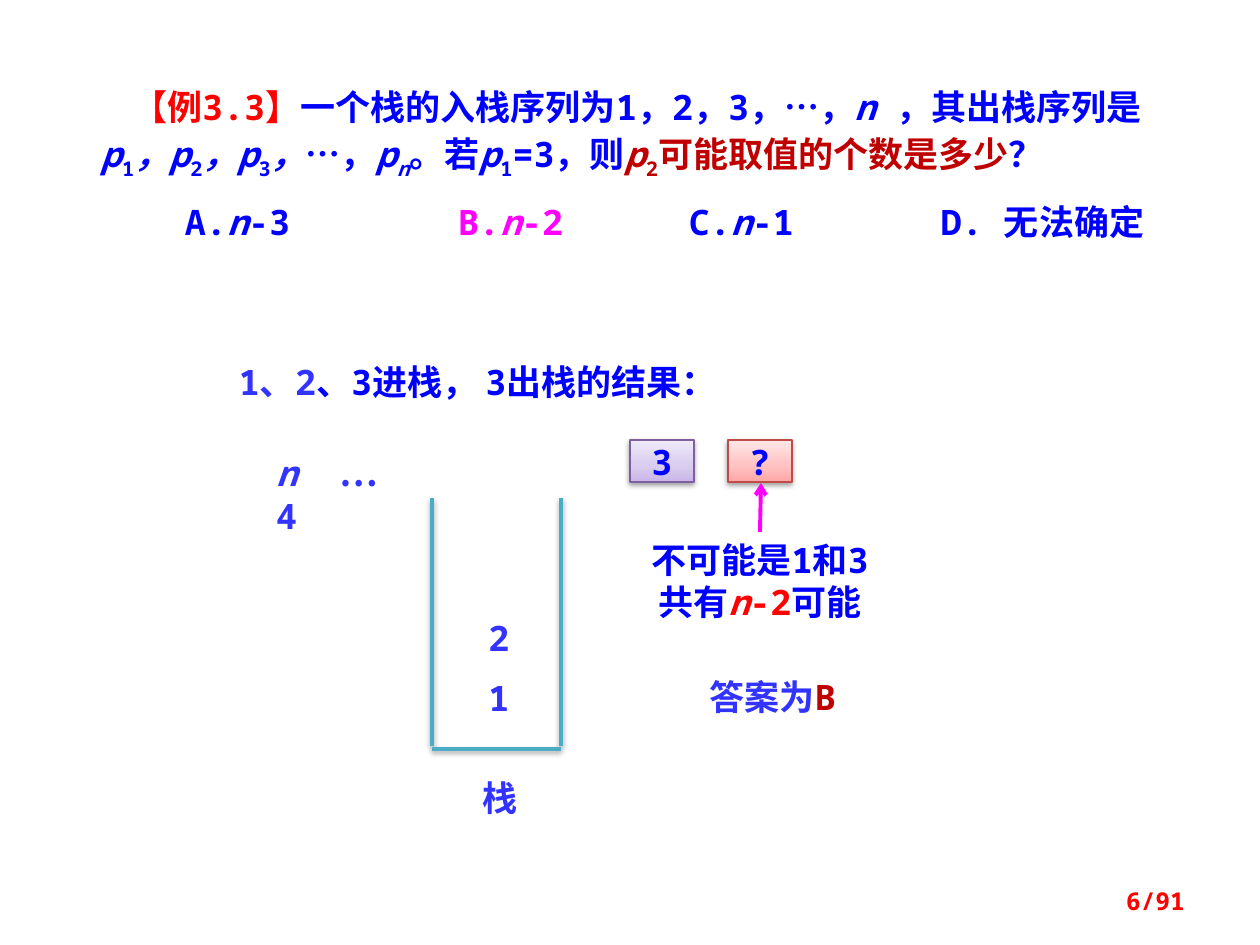
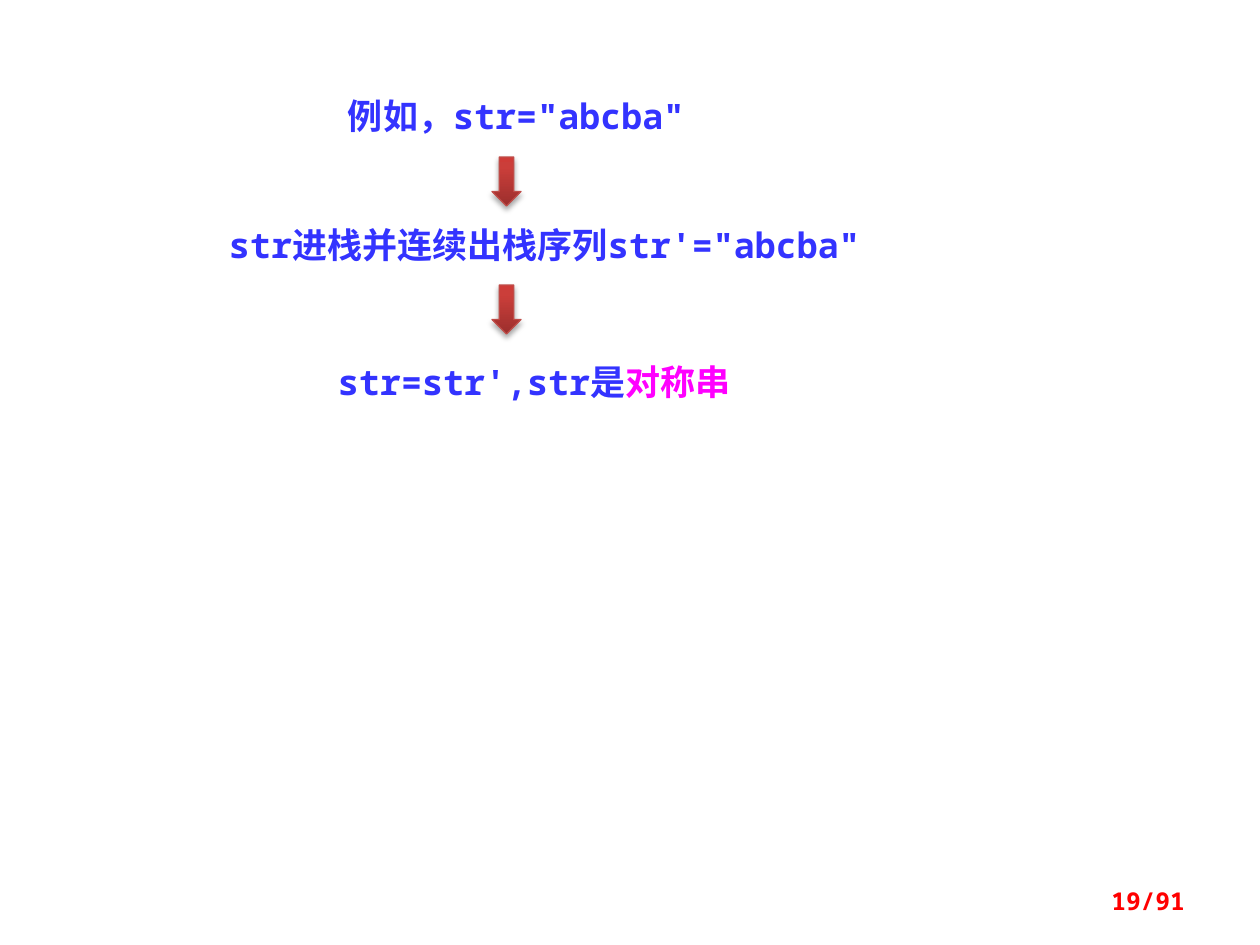
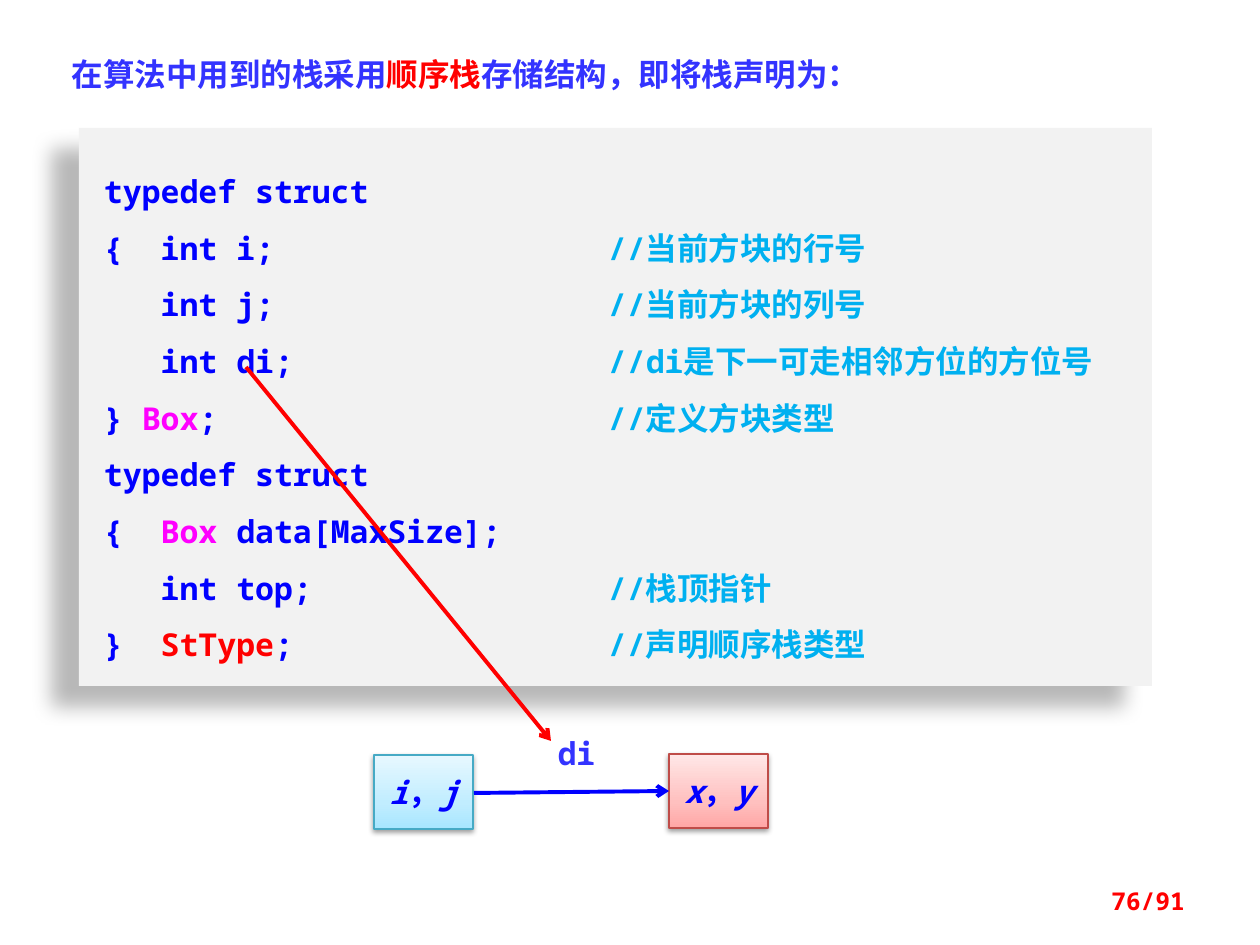
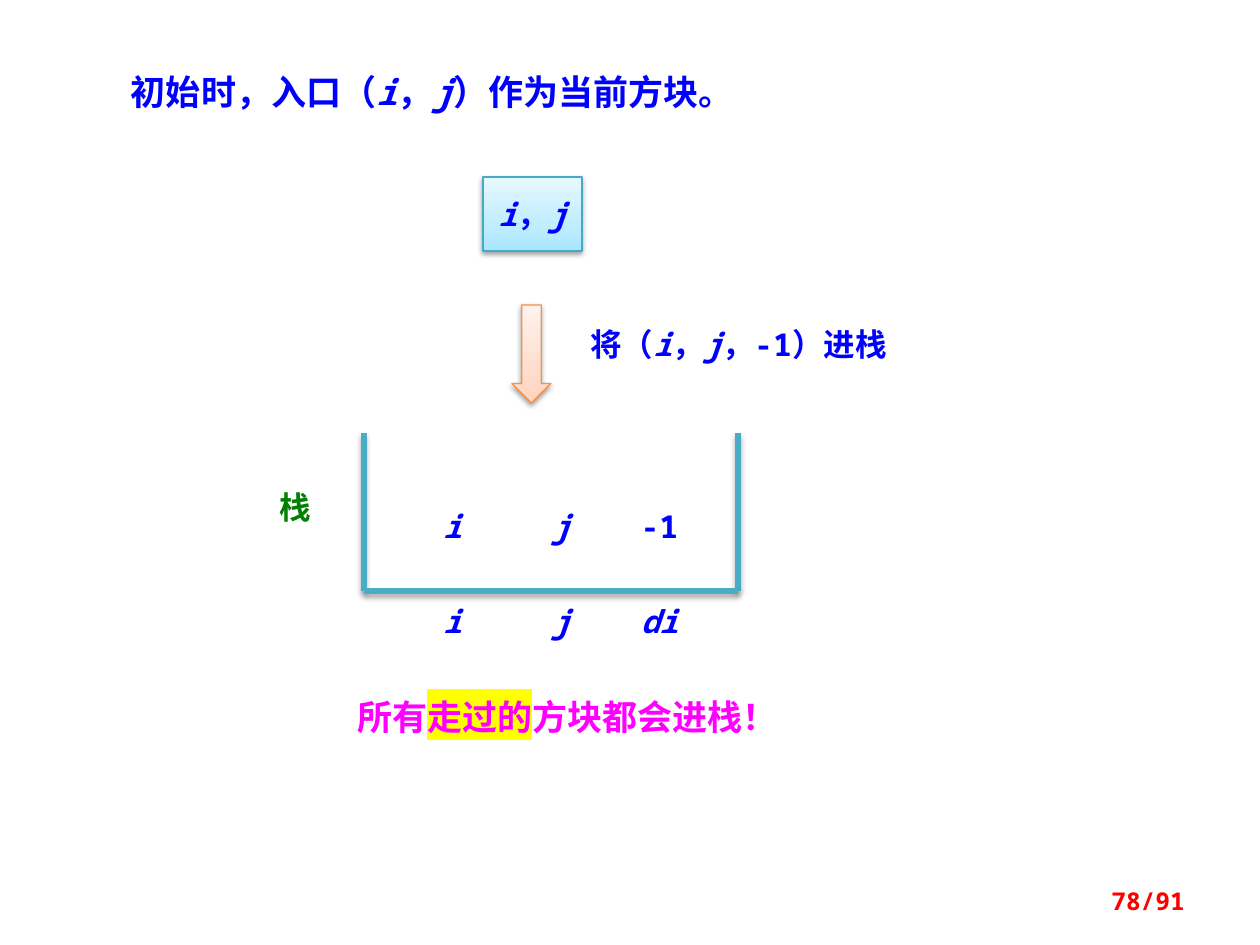
import pptx
import pptx.util
import pptx.dml.color
import pptx.enum.shapes
import pptx.enum.text
import pptx.oxml
import pptx.oxml.ns

RGB = pptx.dml.color.RGBColor
Pt = pptx.util.Pt
Kind = pptx.enum.shapes.MSO_SHAPE
Align = pptx.enum.text.PP_ALIGN
Anchor = pptx.enum.text.MSO_ANCHOR

# Shared look
BLUE = RGB(0x00, 0x00, 0xFF)
INDIGO = RGB(0x33, 0x33, 0xFF)
RED = RGB(0xFF, 0x00, 0x00)
DARK = RGB(0xC0, 0x00, 0x00)
PINK = RGB(0xFF, 0x00, 0xFF)
SKY = RGB(0x00, 0xB0, 0xF0)
GREEN = RGB(0x00, 0x80, 0x00)
TEAL = RGB(0x4B, 0xAC, 0xC6)
GREY = RGB(0xF2, 0xF2, 0xF2)
MONO, SANS, KANJI = "Noto Sans Mono", "Noto Sans CJK SC", "Noto Sans CJK JP"
TOTAL = 91
SCALE = 914400 / 126

# Outline, then gradient stops at 0, middle and 100 percent
LILAC = (RGB(0x7D, 0x60, 0xA0), (0, "C9B5E8"), (35, "D8CBEE"), (100, "F0EAF9"))
ROSE = (RGB(0xBF, 0x4C, 0x48), (0, "FFA6A5"), (35, "FFC0BF"), (100, "FFE7E7"))
AQUA = (RGB(0x46, 0xAA, 0xC5), (0, "A7E6FF"), (35, "C1EDFF"), (100, "E7F8FF"))
BRICK = (RGB(0xBF, 0x4C, 0x48), (0, "9C2F2D"), (80, "CB3E3A"), (100, "CE3B37"))
PEACH = (RGB(0xF6, 0x92, 0x40), (0, "FFD2BD"), (35, "FFDED0"), (100, "FFF2ED"))

# Opacity, blur, distance, angle
SOFT = (38, 3.1, 1.6, 90)
FIRM = (35, 3.1, 1.8, 90)
DEEP = (28, 11.8, 19.7, 141)

# Runs are (text, colour, flags): i italic, _ subscript, h highlight,
# c and k pick the Chinese and the Japanese font.
QUESTION = [
    ("【例3.3】", RED), ("一个栈的入栈序列为1，2，3，", BLUE), ("…", BLUE, "c"), ("，", BLUE),
    ("n ", BLUE, "i"), ("，其出栈序列是", BLUE), ("p", BLUE, "i"), ("1", BLUE, "_"),
    ("，p", BLUE, "i"), ("2", BLUE, "_"), ("，p", BLUE, "i"), ("3", BLUE, "_"),
    ("，", BLUE, "i"), ("…", BLUE, "c"), ("，", BLUE), ("p", BLUE, "i"), ("n", BLUE, "i_"),
    ("。若", BLUE), ("p", BLUE, "i"), ("1", BLUE, "_"), ("=3，则", BLUE),
    ("p", DARK, "i"), ("2", DARK, "_"), ("可能取值的个数是多少", DARK), ("？", BLUE)]
CHOICES = [
    ("\tA.", BLUE), ("n", BLUE, "i"), ("-3\t\t ", BLUE), ("B.", PINK), ("n", PINK, "i"),
    ("-2", PINK), ("\t\tC.", BLUE), ("n", BLUE, "i"), ("-1\t\tD. 无法确定", BLUE)]
CODE = [
    [("typedef struct", BLUE)],
    [("{  int i;\t\t\t", BLUE), ("//当前方块的行号", SKY)],
    [("   int j;\t\t\t", BLUE), ("//当前方块的列号", SKY)],
    [("   int di;\t\t\t", BLUE), ("//di是下一可走相邻方位的方位号", SKY)],
    [("} ", BLUE), ("Box", PINK), (";\t\t\t\t", BLUE), ("//定义方块类型", SKY)],
    [("typedef struct", BLUE)],
    [("{  ", BLUE), ("Box", PINK), (" data[MaxSize];", BLUE)],
    [("   int top;\t\t\t", BLUE), ("//栈顶指针", SKY)],
    [("}  ", BLUE), ("StType", RED), (";\t\t\t", BLUE), ("//声明顺序栈类型", SKY)]]
STEPS = [
    ((335, 88, 433, 55), [("例如，str=\"abcba\"", INDIGO)]),
    ((216, 217, 699, 55), [("str进栈并连续出栈序列str'=\"abcba\"", INDIGO)]),
    ((325, 354, 444, 55), [("str=str',str是", INDIGO), ("对称串", PINK)])]
DECLARE = [("在算法中用到的栈采用", INDIGO, "c"), ("顺序栈", RED, "k"),
           ("存储结构，即将栈声明为：", INDIGO, "c")]
START = [("初始时，入口（", BLUE), ("i", BLUE, "i"), ("，", BLUE), ("j", BLUE, "i"),
         ("）作为当前方块。", BLUE)]
PUSH = [("将（", BLUE), ("i", BLUE, "i"), ("，", BLUE), ("j", BLUE, "i"), ("，-1）进栈", BLUE)]
NOTE = [("所有", PINK), ("走过的", PINK, "h"), ("方块都会进栈！", PINK)]
FIELDS = [(501, [("i", "i"), ("j", "i"), ("-1", "")]),
          (596, [("i", "i"), ("j", "i"), ("di", "i")])]
FIELD_X = (403, 512, 610)


# Helpers
def px(*nums):
    return [pptx.util.Emu(round(n * SCALE)) for n in nums]


def xml(tag, body="", attrs=""):
    space = pptx.oxml.ns.nsdecls("a")
    return pptx.oxml.parse_xml(f"<a:{tag} {space} {attrs}>{body}</a:{tag}>")


def shade(item, look):
    props = item._element.spPr
    for old in props.findall(pptx.oxml.ns.qn("a:effectLst")):
        props.remove(old)
    body = ""
    if look:
        alpha, blur, dist, angle = look
        body = (f'<a:outerShdw blurRad="{round(blur * 12700)}" dist="{round(dist * 12700)}" '
                f'dir="{angle * 60000}" algn="ctr" rotWithShape="0"><a:srgbClr val="000000">'
                f'<a:alpha val="{alpha * 1000}"/></a:srgbClr></a:outerShdw>')
    props.append(xml("effectLst", body))


def add_run(para, size, text, color, flags=""):
    run = para.add_run()
    run.text = text
    font = run.font
    font.size, font.bold, font.italic = Pt(size), True, "i" in flags
    font.color.rgb = color
    font.name = KANJI if "k" in flags else SANS if "c" in flags else MONO
    props = run._r.get_or_add_rPr()
    east = KANJI if "k" in flags else SANS
    props.append(xml("ea", attrs=f'typeface="{east}"'))
    if "_" in flags:
        props.set("baseline", "-25000")
    if "h" in flags:
        fill = props.find(pptx.oxml.ns.qn("a:solidFill"))
        fill.addnext(xml("highlight", '<a:srgbClr val="FFFF00"/>'))


def write(item, paras, size, align=Align.LEFT, pad=(13, 6, 12, 6), lead=1,
          anchor=Anchor.TOP, wrap=True):
    frame = item.text_frame
    frame.word_wrap, frame.vertical_anchor = wrap, anchor
    (frame.margin_left, frame.margin_top,
     frame.margin_right, frame.margin_bottom) = px(*pad)
    for n, runs in enumerate(paras):
        para = frame.paragraphs[0] if n == 0 else frame.add_paragraph()
        para.alignment = align
        para.line_spacing = Pt(round(size * 1.2 * lead, 2))
        for run in runs:
            add_run(para, size, *run)
    return frame.paragraphs


def label(slide, box, paras, size=20, align=Align.LEFT, **more):
    return write(slide.shapes.add_textbox(*px(*box)), paras, size, align, **more)


def bare(slide, box, paras, align=Align.CENTER):
    return label(slide, box, paras, 20, align, pad=(0, 0, 0, 0))


def set_step(para, name, size):
    para._p.get_or_add_pPr().set(name, str(int(px(size)[0])))


def block(slide, kind, box, look, shadow=SOFT):
    item = slide.shapes.add_shape(kind, *px(*box))
    edge, *stops = look
    item.line.color.rgb, item.line.width = edge, Pt(0.75)
    body = "".join(f'<a:gs pos="{at * 1000}"><a:srgbClr val="{tint}"/></a:gs>'
                   for at, tint in stops)
    geom = item._element.spPr.find(pptx.oxml.ns.qn("a:prstGeom"))
    geom.addnext(xml("gradFill", f'<a:gsLst>{body}</a:gsLst><a:lin ang="16200000" scaled="0"/>',
                     'rotWithShape="1"'))
    shade(item, shadow)
    return item


def pair(slide, left, top, names, look):
    one, two = names
    runs = [(one, BLUE, "i"), ("，", BLUE), (two, BLUE, "i")]
    write(block(slide, Kind.RECTANGLE, (left, top, 99, 74), look), [runs], 18,
          Align.CENTER, anchor=Anchor.MIDDLE, wrap=False)


def line(slide, ends, color, width, shadow=None, head=False):
    item = slide.shapes.add_connector(pptx.enum.shapes.MSO_CONNECTOR.STRAIGHT, *px(*ends))
    item.line.color.rgb, item.line.width = color, Pt(width)
    if head:
        item.line._get_or_add_ln().append(xml("tailEnd", attrs='type="arrow"'))
    shade(item, shadow)


def stack(slide, left, top, right, foot, width, shadow, gap=0):
    for x in (left, right):
        line(slide, (x, top, x, foot - gap), TEAL, width, shadow)
    line(slide, (left, foot, right, foot), TEAL, width, shadow)


def new_slide(deck, page):
    slide = deck.slides.add_slide(deck.slide_layouts[6])
    label(slide, (903, 876, 294, 50), [[(f"{page}/{TOTAL}", RED)]], 14, Align.RIGHT,
          anchor=Anchor.MIDDLE)
    return slide


# Slides
def exam(deck):
    slide = new_slide(deck, 6)
    ask, pick = label(slide, (88, 69, 1103, 183), [QUESTION, CHOICES], lead=1.25)
    set_step(ask, "indent", 31)
    set_step(pick, "defTabSz", 84)
    pick.space_before = Pt(6)
    stack(slide, 432, 498, 561, 749, 2, SOFT, gap=3)
    bare(slide, (471, 776, 59, 43), [[("栈", INDIGO, "c")]])
    for top, digit in ((677, "1"), (616, "2")):
        bare(slide, (467, top, 64, 43), [[(digit, INDIGO)]])
    for left, sign, look in ((630, "3", LILAC), (728, "?", ROSE)):
        item = block(slide, Kind.RECTANGLE, (left, 440, 64, 42), look)
        write(item, [[(sign, BLUE)]], 20, Align.CENTER, (0, 0, 0, 0))
    bare(slide, (276, 452, 158, 84), [
        [("n\t", INDIGO, "i"), ("…", INDIGO, "c")], [("4", INDIGO)]], Align.LEFT)
    label(slide, (607, 532, 305, 97), [
        [("不可能是1和3", BLUE)],
        [("共有", BLUE), ("n", RED, "i"), ("-2", RED), ("可能", BLUE)]], align=Align.CENTER)
    line(slide, (760, 532, 761, 483), PINK, 2.25, head=True)
    label(slide, (226, 354, 552, 55), [[("1、2", INDIGO), ("、3进栈， 3出栈的结果：", BLUE)]],
          pad=(13, 6, 50, 6))
    label(slide, (679, 669, 186, 55), [[("答案为", INDIGO), ("B", DARK)]], align=Align.CENTER)


def mirror(deck):
    slide = new_slide(deck, 19)
    for box, runs in STEPS:
        label(slide, box, [runs])
    for top in (157, 285):
        block(slide, Kind.DOWN_ARROW, (492, top, 29, 49), BRICK, FIRM)


def types(deck):
    slide = new_slide(deck, 76)
    label(slide, (59, 49, 827, 50), [DECLARE], 18)
    panel = slide.shapes.add_shape(Kind.RECTANGLE, *px(79, 128, 1073, 558))
    panel.fill.solid()
    panel.fill.fore_color.rgb = GREY
    panel.line.fill.background()
    shade(panel, DEEP)
    for para in write(panel, CODE, 18, pad=(25, 25, 13, 25), lead=1.5):
        set_step(para, "defTabSz", 126)
    pair(slide, 374, 755, "ij", AQUA)
    pair(slide, 669, 754, "xy", ROSE)
    line(slide, (474, 793, 669, 791), BLUE, 2.25, head=True)
    label(slide, (532, 728, 88, 50), [[("di", INDIGO)]], 18, Align.CENTER)
    line(slide, (246, 367, 551, 741), RED, 2.25, head=True)


def entry(deck):
    slide = new_slide(deck, 78)
    pair(slide, 483, 177, "ij", AQUA)
    for top, row in FIELDS:
        for left, (name, flags) in zip(FIELD_X, row):
            label(slide, (left, top, 98, 50), [[(name, BLUE, flags)]], 18, Align.CENTER)
    stack(slide, 364, 433, 738, 591, 3, FIRM)
    label(slide, (236, 482, 118, 50), [[("栈", GREEN)]], 18, Align.CENTER)
    block(slide, Kind.DOWN_ARROW, (512, 305, 39, 98), PEACH)
    label(slide, (570, 319, 336, 50), [PUSH], 18, Align.CENTER)
    label(slide, (118, 64, 728, 55), [START])
    label(slide, (344, 689, 462, 55), [NOTE])


def main():
    deck = pptx.Presentation()
    deck.slide_width, deck.slide_height = px(1260, 945)
    for build in (exam, mirror, types, entry):
        build(deck)
    deck.save("out.pptx")


if __name__ == "__main__":
    main()
